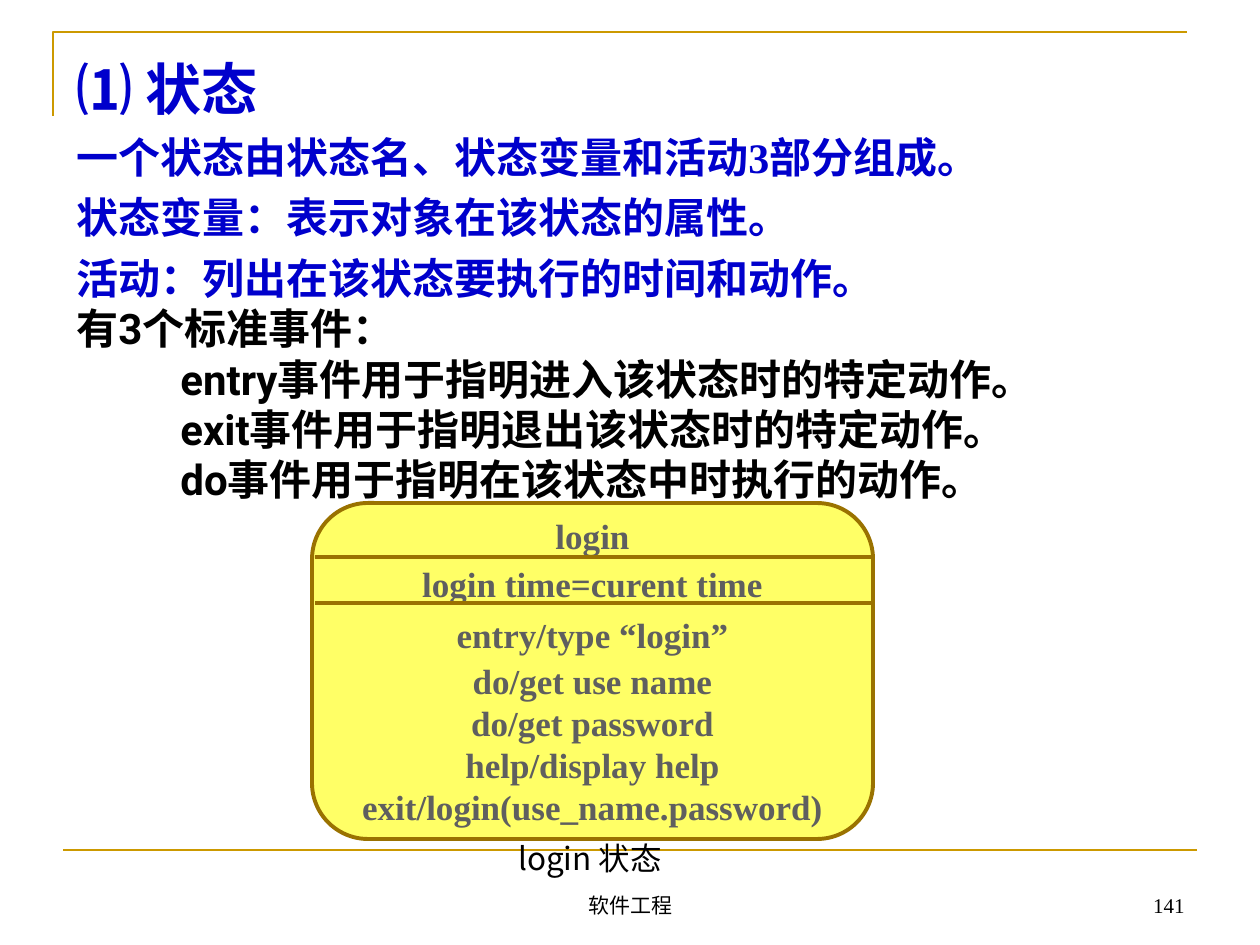
"""Build the slide that explains states, with a login state diagram."""
from dataclasses import dataclass

from lxml import etree
from pptx import Presentation
from pptx import util as u
from pptx.dml.color import RGBColor
from pptx.enum import shapes, text
from pptx.oxml.ns import qn

DPI = 126
COLORS = {
    "gold": "CC9900", "brown": "9A7200", "yellow": "FFFF66",
    "blue": "0000CC", "gray": "5F5F5F", "black": "000000",
}
SERIF, SANS, CJK = "Times New Roman", "Roboto", "Noto Sans CJK SC"
LEFT, CENTER, RIGHT = text.PP_ALIGN.LEFT, text.PP_ALIGN.CENTER, text.PP_ALIGN.RIGHT
TOP, MIDDLE, BOTTOM = text.MSO_ANCHOR.TOP, text.MSO_ANCHOR.MIDDLE, text.MSO_ANCHOR.BOTTOM


@dataclass
class Box:
    x: int
    y: int
    w: int
    h: int


@dataclass
class Rule:
    x1: int
    x2: int
    y: int
    color: str
    width: float


BODY = [
    "一个状态由状态名、状态变量和活动3部分组成。",
    "状态变量：表示对象在该状态的属性。",
    "活动：列出在该状态要执行的时间和动作。",
]
EVENTS = [
    "entry事件用于指明进入该状态时的特定动作。",
    "exit事件用于指明退出该状态时的特定动作。",
    "do事件用于指明在该状态中时执行的动作。",
]
STATE = [
    ("login", 0), ("login time=curent time", 3.7), ("entry/type “login”", 5),
    ("do/get use name", 2.5), ("do/get password", 0), ("help/display help", 0),
    ("exit/login(use_name.password)", 0),
]
RULES = [
    Rule(315, 871, 557, "brown", 2.25),
    Rule(315, 871, 603, "brown", 2.25),
]


def px(n: int) -> u.Emu:
    return u.Emu(round(n * 914400 / DPI))


def rgb(name: str) -> RGBColor:
    return RGBColor.from_string(COLORS[name])


def place(sp, box: Box) -> None:
    sp.left, sp.top, sp.width, sp.height = map(px, (box.x, box.y, box.w, box.h))


def set_frame(tf, anchor=TOP, wrap: bool = True) -> None:
    tf.word_wrap = wrap
    tf.auto_size = text.MSO_AUTO_SIZE.NONE
    tf.vertical_anchor = anchor
    tf.margin_left = tf.margin_right = u.Inches(0.1)
    tf.margin_top = tf.margin_bottom = u.Inches(0.05)


def add_text(tf, words: str, *, size: int, font: str = SERIF, color: str = "black",
             bold: bool = False, align=LEFT, spacing: float = 1.0,
             before: float = 0, indent: int = 0) -> None:
    p = tf.paragraphs[0] if not tf.text else tf.add_paragraph()
    p.alignment, p.line_spacing = align, spacing
    p.space_before, p.space_after = u.Pt(before), u.Pt(0)
    if indent:
        p._p.get_or_add_pPr().set("marL", str(px(indent)))
    r = p.add_run()
    r.text = words
    r.font.name, r.font.size, r.font.bold = font, u.Pt(size), bold
    r.font.color.rgb = rgb(color)


def add_box(s, box: Box, anchor=TOP):
    sp = s.shapes.add_textbox(0, 0, 0, 0)
    place(sp, box)
    set_frame(sp.text_frame, anchor)
    return sp.text_frame


def add_rule(s, rule: Rule) -> None:
    sp = s.shapes.add_connector(shapes.MSO_CONNECTOR.STRAIGHT, px(rule.x1),
                                px(rule.y), px(rule.x2), px(rule.y))
    sp.line.color.rgb, sp.line.width = rgb(rule.color), u.Pt(rule.width)
    etree.SubElement(sp._element.spPr, qn("a:effectLst"))


def add_corner(s) -> None:
    builder = s.shapes.build_freeform(px(53), px(116))
    builder.add_line_segments([(px(53), px(32)), (px(1187), px(32))], close=False)
    sp = builder.convert_to_shape()
    sp.shadow.inherit = False
    sp.fill.background()
    sp.line.color.rgb, sp.line.width = rgb("gold"), u.Pt(1.5)


def add_state(s) -> None:
    sp = s.shapes.add_shape(shapes.MSO_SHAPE.ROUNDED_RECTANGLE, 0, 0, 0, 0)
    place(sp, Box(312, 503, 561, 336))
    sp.shadow.inherit = False
    sp.fill.solid()
    sp.fill.fore_color.rgb = rgb("yellow")
    sp.line.color.rgb, sp.line.width = rgb("brown"), u.Pt(2.25)
    set_frame(sp.text_frame, MIDDLE, wrap=False)
    for words, before in STATE:
        add_text(sp.text_frame, words, size=20, color="gray", bold=True,
                 align=CENTER, before=before)
    for rule in RULES:
        add_rule(s, rule)


def main() -> None:
    prs = Presentation()
    prs.slide_width, prs.slide_height = u.Inches(10), u.Inches(7.5)
    s = prs.slides.add_slide(prs.slide_layouts[5])
    add_corner(s)
    add_rule(s, Rule(63, 1197, 850, "gold", 1.5))

    title = s.shapes.title
    place(title, Box(64, 35, 1152, 92))
    set_frame(title.text_frame)
    add_text(title.text_frame, "⑴ 状态", size=32, color="blue", bold=True, spacing=1.2)

    tf = add_box(s, Box(64, 115, 1152, 386))
    for words in BODY:
        add_text(tf, words, size=24, color="blue", bold=True, spacing=1.2)
    add_text(tf, "有3个标准事件：", size=24, font=SANS, bold=True)
    for words in EVENTS:
        add_text(tf, words, size=24, font=SANS, bold=True, indent=104)

    add_text(add_box(s, Box(408, 837, 364, 47)), "login 状态", size=18, font=CJK,
             align=CENTER, spacing=0.9)
    add_state(s)
    add_text(add_box(s, Box(431, 861, 399, 63), BOTTOM), "软件工程", size=12, align=CENTER)
    add_text(add_box(s, Box(903, 861, 294, 63), BOTTOM), "141", size=12, align=RIGHT)
    prs.save("out.pptx")


if __name__ == "__main__":
    main()
